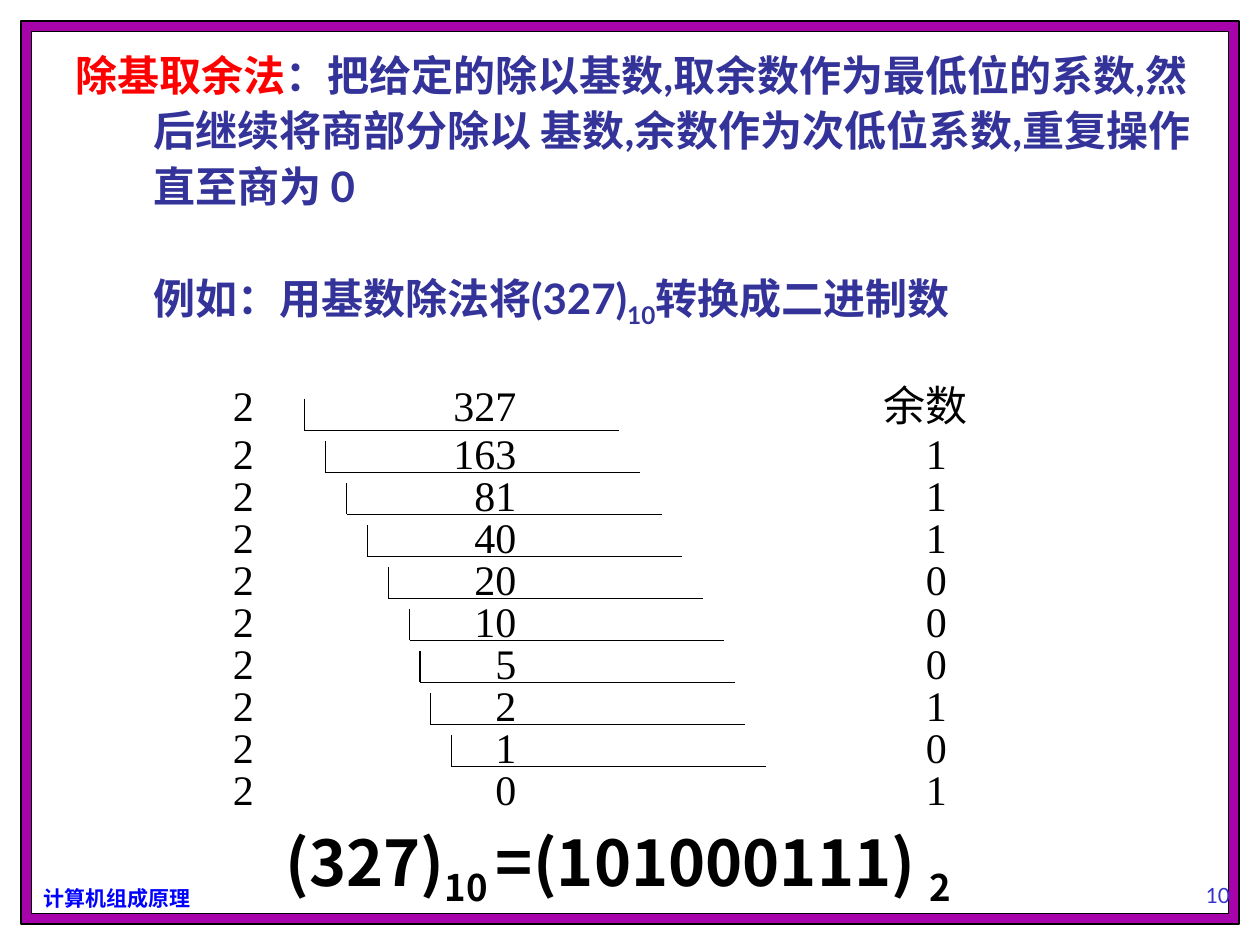
from dataclasses import dataclass

from lxml import etree
from pptx import Presentation
from pptx import util as u
from pptx.dml.color import RGBColor
from pptx.enum import shapes, text
from pptx.oxml import ns


@dataclass(frozen=True)
class Theme:
    frame: str = "A603AB"
    paper: str = "FFFFFF"
    ink: str = "000000"
    heading: str = "333399"
    key_term: str = "FF0000"
    footer: str = "0000FF"
    number: str = "3333CC"
    latin: str = "Lato"
    serif: str = "Times New Roman"
    chinese: str = "Noto Sans CJK SC"
    small: int = 12
    body: int = 24
    large: int = 36
    hairline: float = 0.75


@dataclass(frozen=True)
class Division:
    quotient: str
    remainder: str
    bracket_left: int | None  # in grid units; the last row has none


THEME = Theme()
BASE = "2"
DIVISIONS = [
    Division("327", "余数", 29),
    Division("163", "1", 31),
    Division("81", "1", 33),
    Division("40", "1", 35),
    Division("20", "0", 37),
    Division("10", "0", 39),
    Division("5", "0", 40),
    Division("2", "1", 41),
    Division("1", "0", 43),
    Division("0", "1", None),
]
ROW_STEP = 4
MIDDLE = text.MSO_ANCHOR.MIDDLE
BOTTOM = text.MSO_ANCHOR.BOTTOM


def grid(units: float) -> u.Length:
    """The page is laid out on twelfths of an inch."""
    return u.Cm(units * 2.54 / 12)


def colour(value: str) -> RGBColor:
    return RGBColor.from_string(value)


def add_span(para, words: str, *, size: int = THEME.body, font: str = THEME.latin,
             color: str = THEME.ink, bold: bool = False, subscript: bool = False) -> None:
    span = para.add_run()
    span.text = words
    span.font.size = u.Pt(size)
    span.font.name = font
    span.font.bold = bold
    span.font.color.rgb = colour(color)
    properties = span.font._element
    etree.SubElement(properties, ns.qn("a:ea")).set("typeface", THEME.chinese)
    if subscript:
        properties.set("baseline", "-25000")


def add_panel(page, left: float, top: float, width: float, height: float,
              fill: str, line: str):
    panel = page.shapes.add_shape(shapes.MSO_SHAPE.RECTANGLE, *map(grid, (left, top, width, height)))
    panel.shadow.inherit = False
    panel.fill.solid()
    panel.fill.fore_color.rgb = colour(fill)
    panel.line.color.rgb = colour(line)
    panel.line.width = u.Pt(THEME.hairline)
    para = panel.text_frame.paragraphs[0]
    para.alignment = text.PP_ALIGN.LEFT
    panel.text_frame.vertical_anchor = MIDDLE
    panel.text_frame.word_wrap = True
    return panel


def add_text_box(page, left: float, top: float, width: float, height: float, *,
                 anchor=text.MSO_ANCHOR.TOP):
    box = page.shapes.add_textbox(*map(grid, (left, top, width, height)))
    box.text_frame.word_wrap = True
    box.text_frame.vertical_anchor = anchor
    return box.text_frame


def add_line(page, x1: float, y1: float, x2: float, y2: float) -> None:
    line = page.shapes.add_connector(shapes.MSO_CONNECTOR.STRAIGHT, *map(grid, (x1, y1, x2, y2)))
    line.line.color.rgb = colour(THEME.ink)
    line.line.width = u.Pt(THEME.hairline)
    etree.SubElement(line._element.spPr, ns.qn("a:effectLst"))


def set_tabs(para, stops: list[tuple[float, str]]) -> None:
    tabs = etree.SubElement(para._p.get_or_add_pPr(), ns.qn("a:tabLst"))
    for position, align in stops:
        tab = etree.SubElement(tabs, ns.qn("a:tab"))
        tab.set("pos", str(grid(position)))
        tab.set("algn", align)


def draw_frame(page) -> None:
    add_panel(page, 2, 2, 116, 86, THEME.frame, THEME.ink)
    add_panel(page, 3, 3, 114, 84, THEME.paper, THEME.ink)
    # Without a right inset the course title fits on one line
    footer = add_text_box(page, 3, 83.7, 16.3, 3.6)
    footer.margin_right = 0
    add_span(footer.paragraphs[0], "计算机组成原理", size=THEME.small,
             font=THEME.chinese, color=THEME.footer, bold=True)
    number = add_text_box(page, 105, 81, 22, 6, anchor=BOTTOM)
    number.paragraphs[0].alignment = text.PP_ALIGN.CENTER
    add_span(number.paragraphs[0], "10", size=THEME.small, color=THEME.number)


def draw_heading(page) -> None:
    frame = add_text_box(page, 6, 5, 110, 27, anchor=BOTTOM)
    rule, example = frame.paragraphs[0], frame.add_paragraph()
    for para, indent in ((rule, -7.4), (example, 0)):
        para.line_spacing = 1.1
        properties = para._p.get_or_add_pPr()
        properties.set("marL", str(grid(7.4)))
        properties.set("indent", str(grid(indent)))
    example.space_before = u.Pt(32)
    style = dict(color=THEME.heading, bold=True)
    add_span(rule, "除基取余法", color=THEME.key_term, bold=True)
    add_span(rule, "：把给定的除以基数,取余数作为最低位的系数,然后继续将商部分除以 基数,"
                   "余数作为次低位系数,重复操作直至商为 0", **style)
    add_span(example, "例如：用基数除法将(327)", **style)
    add_span(example, "10", subscript=True, **style)
    add_span(example, "转换成二进制数", **style)


def draw_divisions(page) -> None:
    # Rows: base, quotient and remainder
    for index, row in enumerate(DIVISIONS):
        if index == 0:
            place, remainder_tab = (21, 35, 92, 7), 66
        else:
            place, remainder_tab = (21, 40.9 + ROW_STEP * (index - 1), 82, 4.5), 67
        panel = add_panel(page, *place, THEME.paper, THEME.paper)
        para = panel.text_frame.paragraphs[0]
        set_tabs(para, [(27, "r"), (remainder_tab, "ctr")])
        add_span(para, f"{BASE}\t{row.quotient}\t{row.remainder}", font=THEME.serif)

    # Division brackets
    for index, row in enumerate(DIVISIONS):
        if row.bracket_left is not None:
            left, bottom = row.bracket_left, 41 + ROW_STEP * index
            add_line(page, left, bottom, left + 30, bottom)
            add_line(page, left, bottom - 3, left, bottom)


def draw_result(page) -> None:
    para = add_panel(page, 26, 79, 71, 7, THEME.paper, THEME.paper).text_frame.paragraphs[0]
    for words, subscript in (("(327)", False), ("10 ", True), ("=(101000111) ", False), ("2", True)):
        add_span(para, words, size=THEME.large, font=THEME.chinese, bold=True, subscript=subscript)


def main() -> None:
    deck = Presentation()
    deck.slide_width, deck.slide_height = u.Cm(25.4), u.Cm(19.05)
    page = deck.slides.add_slide(deck.slide_layouts[6])
    draw_frame(page)
    draw_heading(page)
    draw_divisions(page)
    draw_result(page)
    deck.save("out.pptx")


if __name__ == "__main__":
    main()
